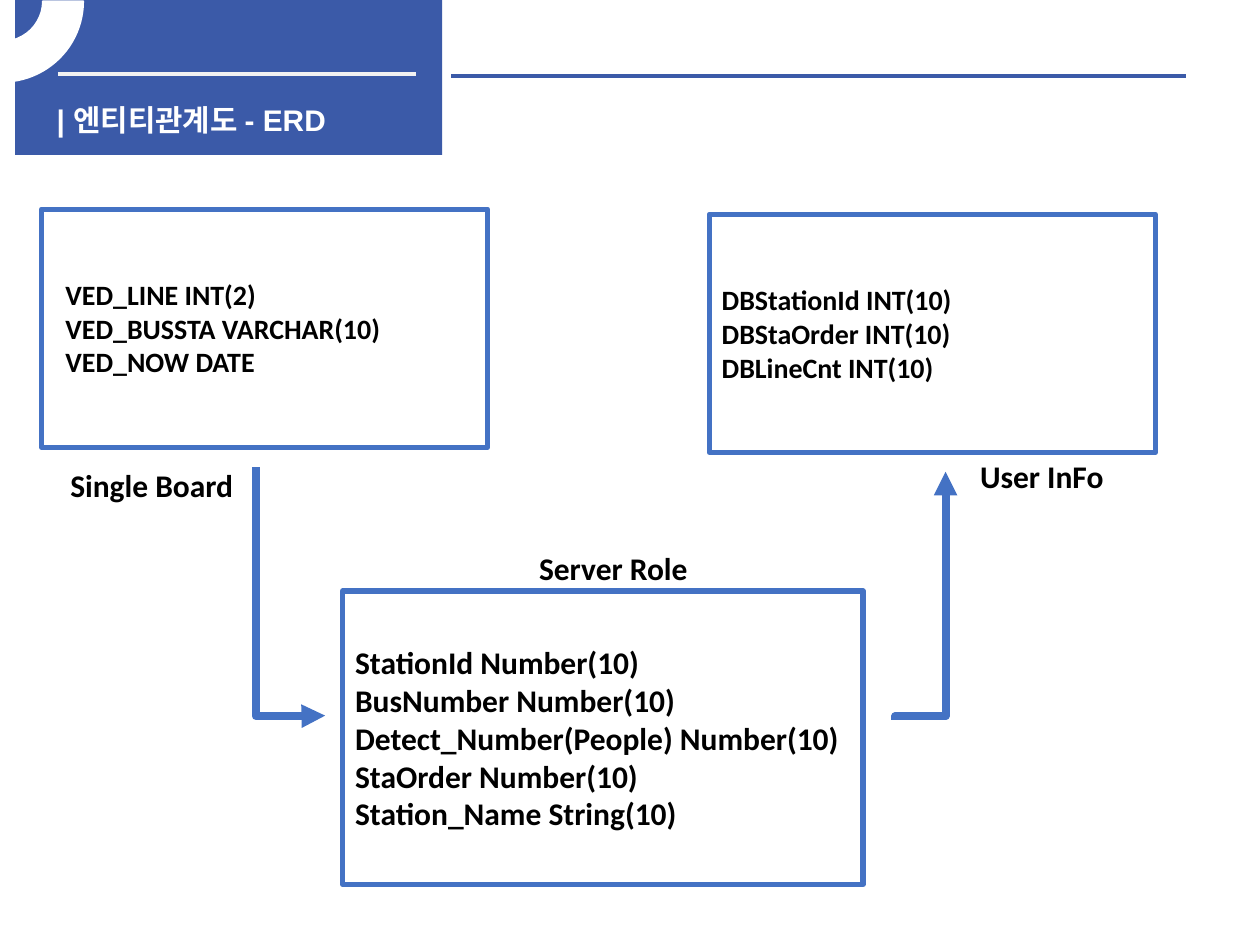
from dataclasses import dataclass

from lxml.etree import SubElement
from pptx import Presentation
from pptx.dml.color import RGBColor
from pptx.enum.shapes import MSO_CONNECTOR as Link, MSO_SHAPE as Form
from pptx.enum.text import MSO_ANCHOR as Anchor, MSO_AUTO_SIZE as Fit, PP_ALIGN as Align
from pptx.oxml.ns import qn
from pptx.util import Inches, Pt

NAVY = RGBColor(0x3B, 0x5A, 0xA8)
BLUE = RGBColor(0x44, 0x72, 0xC4)
PALE = RGBColor(0xF2, 0xF2, 0xF2)
WHITE = RGBColor(0xFF, 0xFF, 0xFF)
BLACK = RGBColor(0, 0, 0)

UNIT = Inches(0.1)  # grid of 100 columns by 75 rows
COLS, ROWS = 100, 75


@dataclass
class Area:
    col: float
    row: float
    wide: float
    high: float

    def spans(self) -> list[int]:
        return [round(n * UNIT) for n in (self.col, self.row, self.wide, self.high)]


@dataclass
class Entity:
    area: Area
    size: int
    fields: list[str]
    inset: float = 1


@dataclass
class Label:
    col: float
    row: float
    text: str


@dataclass
class Rule:
    start: float
    end: float
    row: float
    color: RGBColor


@dataclass
class Arrow:
    """An elbow arrow: its area before turning, its turn and its bend."""
    area: Area
    turn: int
    flips: str
    bend: int


ENTITIES = [
    Entity(Area(3.3, 16.6, 35.4, 18.9), 16,
           ["VED_LINE INT(2)", "VED_BUSSTA VARCHAR(10)", "VED_NOW DATE"], 1.9),
    Entity(Area(27.2, 46.9, 41.3, 23.3), 18,
           ["StationId Number(10)", "BusNumber Number(10)",
            "Detect_Number(People) Number(10)", "StaOrder Number(10)",
            "Station_Name String(10)"]),
    Entity(Area(56.3, 17, 35.4, 18.9), 16,
           ["DBStationId INT(10)", "DBStaOrder INT(10)", "DBLineCnt INT(10)"]),
]
LABELS = [
    Label(4.6, 36.5, "Single Board"),
    Label(76.8, 35.8, "User InFo"),
    Label(41.8, 43.1, "Server Role"),
]
RULES = [Rule(4.6, 33, 5.9, PALE), Rule(35.8, 94.1, 6, NAVY)]
ARROWS = [
    Arrow(Area(13.2, 44.2, 19.7, 5.5), 270, "H", 100200),
    Arrow(Area(63.2, 45.3, 19.7, 4), 90, "HV", 1500),
]


def style(frame, size: float, color: RGBColor, face: str) -> None:
    for para in frame.paragraphs:
        para.alignment = Align.LEFT
        for run in para.runs:
            font = run.font
            font.size, font.bold, font.name = Pt(size), True, face
            font.color.rgb = color


def add_form(slide, kind, area: Area, fill: RGBColor, edge=None, weight=1):
    form = slide.shapes.add_shape(kind, *area.spans())
    form.shadow.inherit = False
    form.fill.solid()
    form.fill.fore_color.rgb = fill
    if edge is None:
        form.line.fill.background()
    else:
        form.line.color.rgb = edge
        form.line.width = Pt(weight)
    return form


def add_link(slide, kind, area: Area, color: RGBColor, weight: float):
    x, y, w, h = area.spans()
    link = slide.shapes.add_connector(kind, x, y, x + w, y + h)
    link.line.color.rgb = color
    link.line.width = Pt(weight)
    SubElement(link.element.spPr, qn("a:effectLst"))
    return link


def add_arrow(slide, arrow: Arrow) -> None:
    link = add_link(slide, Link.ELBOW, arrow.area, BLUE, 4.5)
    props = link.element.spPr
    frame = props.find(qn("a:xfrm"))
    frame.set("rot", str(arrow.turn * 60000))
    for axis in arrow.flips:
        frame.set("flip" + axis, "1")
    bends = props.find(qn("a:prstGeom")).find(qn("a:avLst"))
    SubElement(bends, qn("a:gd"), name="adj1", fmla=f"val {arrow.bend}")
    SubElement(props.find(qn("a:ln")), qn("a:tailEnd"), type="triangle")


def add_entity(slide, entity: Entity) -> None:
    box = add_form(slide, Form.RECTANGLE, entity.area, WHITE, BLUE, 3)
    frame = box.text_frame
    frame.text = "\n".join(entity.fields)
    frame.word_wrap = True
    frame.vertical_anchor = Anchor.MIDDLE
    frame.margin_left = round(entity.inset * UNIT)
    style(frame, entity.size, BLACK, "Calibri")


def add_label(slide, label: Label) -> None:
    box = slide.shapes.add_textbox(*Area(label.col, label.row, 20.6, 4).spans())
    frame = box.text_frame
    frame.text = label.text
    frame.word_wrap = True
    frame.auto_size = Fit.SHAPE_TO_FIT_TEXT
    style(frame, 18, BLACK, "Calibri")


def add_title(slide) -> None:
    title = slide.shapes.title
    title.left, title.top, title.width, title.height = Area(3.5, 7.6, 31.5, 3.2).spans()
    frame = title.text_frame
    frame.text = "| 엔티티관계도 - ERD"
    frame.word_wrap = True
    frame.auto_size = Fit.NONE
    frame.vertical_anchor = Anchor.TOP
    style(frame, 17, WHITE, "Arial")
    title.element.getparent().append(title.element)  # in front of the banner


def add_ring(slide) -> None:
    ring = add_form(slide, Form.BLOCK_ARC, Area(-6.3, -6.3, 12.9, 12.8), WHITE, WHITE)
    ring.adjustments[0] = 161.587 * 0.6  # degrees to shape units
    ring.adjustments[1] = 0
    ring.adjustments[2] = 0.25
    ring.element.spPr.find(qn("a:xfrm")).set("flipV", "1")


def main() -> None:
    deck = Presentation()
    deck.slide_width, deck.slide_height = COLS * UNIT, ROWS * UNIT
    slide = deck.slides.add_slide(deck.slide_layouts[5])
    add_form(slide, Form.RECTANGLE, Area(1.2, 0, 33.9, 12.3), NAVY)
    for rule in RULES:
        area = Area(rule.start, rule.row, rule.end - rule.start, 0)
        add_link(slide, Link.STRAIGHT, area, rule.color, 2.25)
    add_title(slide)
    add_ring(slide)
    for entity in ENTITIES:
        add_entity(slide, entity)
    for arrow in ARROWS:
        add_arrow(slide, arrow)
    for label in LABELS:
        add_label(slide, label)
    deck.save("out.pptx")


if __name__ == "__main__":
    main()
